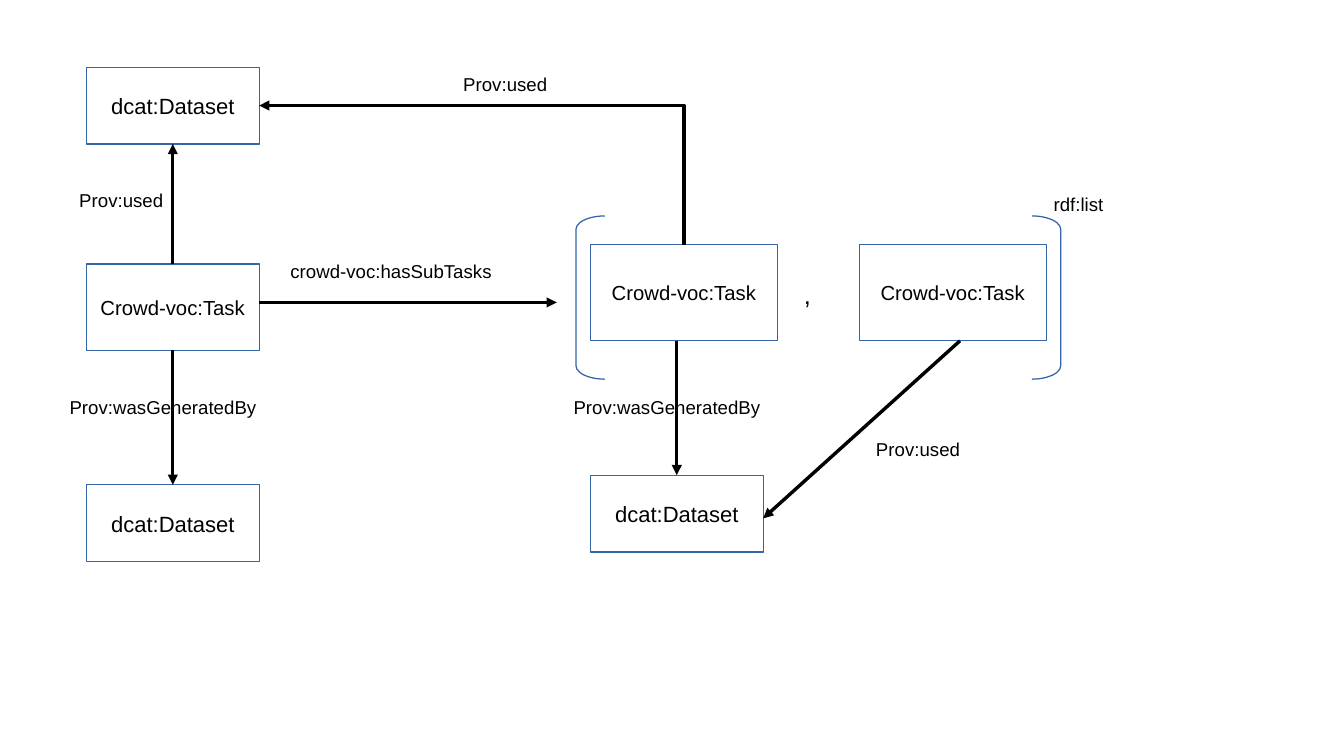
from lxml import etree
from pptx import Presentation
from pptx import util as u
from pptx.dml.color import RGBColor
from pptx.enum import shapes, text
from pptx.oxml.ns import qn

BLUE = RGBColor(0x34, 0x65, 0xA4)
BLACK = RGBColor(0, 0, 0)
COLS, ROWS = 28, 15.75


class Graph:
    font = "Arial"
    hair = u.Pt(0)

    def __init__(self, deck):
        self.col = deck.slide_width / COLS
        self.row = deck.slide_height / ROWS
        self.items = deck.slides.add_slide(deck.slide_layouts[6]).shapes

    def grid(self, *nums):
        return [round(n * (self.row if i % 2 else self.col)) for i, n in enumerate(nums)]

    def letter(self, shape, words, size):
        part = shape.text_frame.paragraphs[0]
        run = part.add_run()
        run.text = words
        run.font.name = self.font
        run.font.size = u.Pt(size)
        run.font.color.rgb = BLACK
        return part

    def frame(self, kind, x, y, w, h):
        shape = self.items.add_shape(kind, *self.grid(x, y, w, h))
        shape.shadow.inherit = False
        shape.fill.background()
        shape.line.color.rgb = BLUE
        shape.line.width = self.hair
        return shape

    def node(self, words, size, x, y, w, h):
        shape = self.frame(shapes.MSO_SHAPE.RECTANGLE, x, y, w, h)
        shape.text_frame.word_wrap = False
        shape.text_frame.vertical_anchor = text.MSO_ANCHOR.MIDDLE
        self.letter(shape, words, size).alignment = text.PP_ALIGN.CENTER

    def brace(self, kind, x, y, w, h):
        self.frame(kind, x, y, w, h).adjustments[0] = 0.47

    def label(self, words, x, y, w, h, size=11):
        box = self.items.add_textbox(*self.grid(x, y, w, h))
        box.text_frame.word_wrap = True
        box.text_frame.auto_size = text.MSO_AUTO_SIZE.SHAPE_TO_FIT_TEXT
        self.letter(box, words, size)

    def arrow(self, x1, y1, x2, y2, kind=shapes.MSO_CONNECTOR.STRAIGHT):
        link = self.items.add_connector(kind, *self.grid(x1, y1, x2, y2))
        link.line.color.rgb = BLACK
        link.line.width = self.hair
        props = link._element.spPr
        etree.SubElement(props.find(qn("a:ln")), qn("a:tailEnd"), type="triangle")
        etree.SubElement(props, qn("a:effectLst"))
        return props

    def bend(self, x1, y1, x2, y2):
        midx, midy = (x1 + x2) / 2, (y1 + y2) / 2
        dx, dy = (y1 - y2) / 2, (x1 - x2) / 2
        props = self.arrow(midx - dx, midy + dy, midx + dx, midy - dy,
                           shapes.MSO_CONNECTOR.ELBOW)
        props.find(qn("a:xfrm")).set("rot", str(270 * 60000))
        props.find(qn("a:prstGeom")).set("prst", "bentConnector2")


deck = Presentation()
deck.slide_width, deck.slide_height = u.Inches(11.02), u.Inches(6.2)
graph = Graph(deck)

LEFT, MID = 1.8, 12.3
graph.node("Crowd-voc:Task", 12, LEFT, 5.5, 3.6, 1.8)
for x in (MID, 17.9):
    graph.node("Crowd-voc:Task", 12, x, 5.1, 3.9, 2)
for x, y in ((LEFT, 1.4), (LEFT, 10.1), (MID, 9.9)):
    graph.node("dcat:Dataset", 13, x, y, 3.6, 1.6)

for kind, x in ((shapes.MSO_SHAPE.LEFT_BRACKET, 12), (shapes.MSO_SHAPE.RIGHT_BRACKET, 21.5)):
    graph.brace(kind, x, 4.5, 0.6, 3.4)

for ends in ((5.4, 6.3, 11.6, 6.3), (3.6, 5.5, 3.6, 3), (3.6, 7.3, 3.6, 10.1),
             (14.1, 7.1, 14.1, 9.9), (20, 7.1, 15.9, 10.8)):
    graph.arrow(*ends)
graph.bend(14.25, 5.1, 5.4, 2.2)

for x, y in ((1.4, 3.8), (9.4, 1.4), (18, 9)):
    graph.label("Prov:used", x, y, 2.6, 1.1)
for x in (1.2, 11.7):
    graph.label("Prov:wasGeneratedBy", x, 8.13, 4.6, 0.7)
graph.label("crowd-voc:hasSubTasks", 5.8, 5.3, 5.6, 0.9)
graph.label("rdf:list", 21.7, 3.9, 2, 0.9)
graph.label(",", 16.5, 5.7, 1.3, 0.9, 15)

deck.save("out.pptx")
